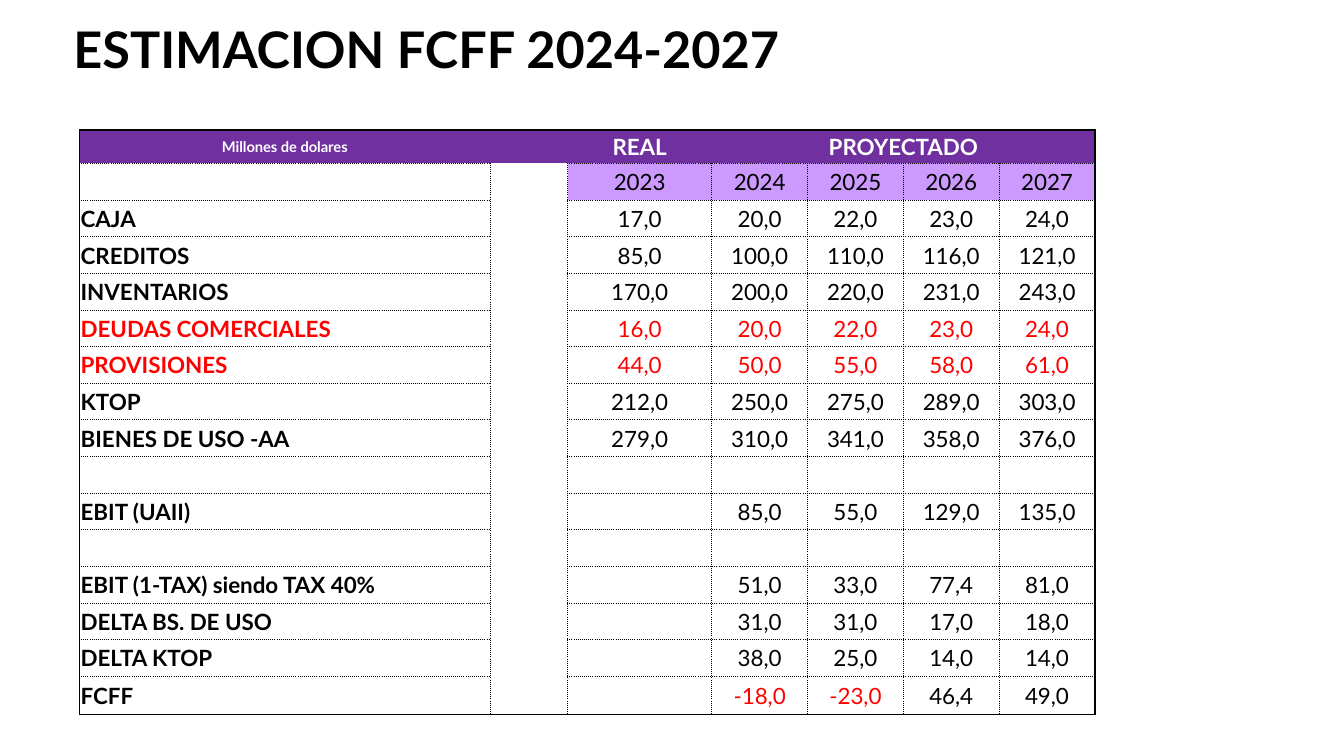
"""Builds the slide with the 2024-2027 free cash flow table."""
from dataclasses import dataclass

from lxml import etree
from pptx import Presentation
from pptx.dml.color import RGBColor
from pptx.enum.text import MSO_ANCHOR, PP_ALIGN
from pptx.oxml.ns import qn
from pptx.util import Emu, Pt

LEFT, CENTER = PP_ALIGN.LEFT, PP_ALIGN.CENTER
MIDDLE = MSO_ANCHOR.MIDDLE
EMU_PER_PX = 9144


@dataclass(frozen=True)
class Theme:
    font: str = "Lato"
    ink: str = "000000"
    red: str = "FF0000"
    white: str = "FFFFFF"
    purple: str = "7030A0"
    lilac: str = "CC99FF"
    title_pt: float = 36
    body_pt: float = 16
    unit_pt: float = 10.5
    frame_pt: float = 1
    grid_pt: float = 0.5


@dataclass(frozen=True)
class Row:
    label: str = ""
    values: tuple[str, ...] = ("",) * 5
    is_red: bool = False


@dataclass(frozen=True)
class Style:
    size: float
    color: str
    bold: bool = False
    align: PP_ALIGN = CENTER


THEME = Theme()
COL_WIDTHS = (407, 77, 143, 95, 95, 95, 95)
TABLE_LEFT, TABLE_TOP, TABLE_HEIGHT = 79, 129, 580
HEADER_HEIGHT, LAST_HEIGHT = 33, 38
SPACER_COL, FIRST_PROJECTED_COL = 1, 3
HEADER = Row("Millones de dolares", ("REAL", "PROYECTADO", "", "", ""))
YEARS = Row("", ("2023", "2024", "2025", "2026", "2027"))
ROWS = (
    HEADER,
    YEARS,
    Row("CAJA", ("17,0", "20,0", "22,0", "23,0", "24,0")),
    Row("CREDITOS", ("85,0", "100,0", "110,0", "116,0", "121,0")),
    Row("INVENTARIOS", ("170,0", "200,0", "220,0", "231,0", "243,0")),
    Row("DEUDAS COMERCIALES", ("16,0", "20,0", "22,0", "23,0", "24,0"), True),
    Row("PROVISIONES", ("44,0", "50,0", "55,0", "58,0", "61,0"), True),
    Row("KTOP", ("212,0", "250,0", "275,0", "289,0", "303,0")),
    Row("BIENES DE USO -AA", ("279,0", "310,0", "341,0", "358,0", "376,0")),
    Row(),
    Row("EBIT (UAII)", ("", "85,0", "55,0", "129,0", "135,0")),
    Row(),
    Row("EBIT (1-TAX) siendo TAX 40%", ("", "51,0", "33,0", "77,4", "81,0")),
    Row("DELTA BS. DE USO", ("", "31,0", "31,0", "17,0", "18,0")),
    Row("DELTA KTOP", ("", "38,0", "25,0", "14,0", "14,0")),
    Row("FCFF", ("", "-18,0", "-23,0", "46,4", "49,0")),
)


def px(n: int) -> Emu:
    """Turn px into EMU."""
    return Emu(n * EMU_PER_PX)


def write(tf, text: str, style: Style) -> None:
    """Fill a text frame with one formatted paragraph."""
    p = tf.paragraphs[0]
    p.text = text
    p.alignment = style.align
    for r in p.runs:
        r.font.name = THEME.font
        r.font.size = Pt(style.size)
        r.font.bold = style.bold
        r.font.color.rgb = RGBColor.from_string(style.color)


def cell_style(row: Row, col: int, text: str) -> Style:
    """Choose the text style of a table cell."""
    if row is HEADER:
        size = THEME.unit_pt if col == 0 else THEME.body_pt
        return Style(size, THEME.white, True)
    color = THEME.red if row.is_red or text.startswith("-") else THEME.ink
    if col == 0:
        return Style(THEME.body_pt, color, True, LEFT)
    return Style(THEME.body_pt, color)


def cell_fill(row: Row, col: int) -> str:
    """Choose the background of a table cell."""
    if row is HEADER:
        return THEME.purple
    return THEME.lilac if row is YEARS and col > SPACER_COL else THEME.white


def add_border(tc_pr, index: int, side: str, is_frame: bool, is_open: bool) -> None:
    """Add a solid frame edge, a dotted grid edge or no edge to a cell."""
    width = THEME.frame_pt if is_frame else THEME.grid_pt
    ln = etree.Element(qn(f"a:ln{side}"), w=str(Pt(width)))
    if is_open and not is_frame:
        etree.SubElement(ln, qn("a:noFill"))
    else:
        fill = etree.SubElement(ln, qn("a:solidFill"))
        etree.SubElement(fill, qn("a:srgbClr"), val=THEME.ink)
        etree.SubElement(ln, qn("a:prstDash"), val="solid" if is_frame else "sysDot")
    tc_pr.insert(index, ln)


def draw_cell(cell, row: Row, row_no: int, col: int, text: str) -> None:
    """Format one table cell and its four edges."""
    cell.vertical_anchor = MIDDLE
    cell.margin_left = cell.margin_right = cell.margin_top = px(1)
    cell.margin_bottom = 0
    cell.fill.solid()
    cell.fill.fore_color.rgb = RGBColor.from_string(cell_fill(row, col))
    write(cell.text_frame, text, cell_style(row, col, text))
    right = col + cell.span_width if cell.is_merge_origin else col + 1
    is_header, is_spacer = row is HEADER, col == SPACER_COL
    edges = (
        ("L", col == 0, is_header),
        ("R", right == len(COL_WIDTHS), is_header),
        ("T", row_no == 0, is_spacer),
        ("B", row_no == len(ROWS) - 1, is_spacer),
    )
    tc_pr = cell._tc.get_or_add_tcPr()
    for index, (side, is_frame, is_open) in enumerate(edges):
        add_border(tc_pr, index, side, is_frame, is_open)


def draw_table(s) -> None:
    """Draw the cash flow table."""
    table = s.shapes.add_table(
        len(ROWS), len(COL_WIDTHS), px(TABLE_LEFT), px(TABLE_TOP),
        px(sum(COL_WIDTHS)), px(TABLE_HEIGHT),
    ).table
    table.first_row = table.horz_banding = False
    for column, width in zip(table.columns, COL_WIDTHS):
        column.width = px(width)
    inner = px(TABLE_HEIGHT - HEADER_HEIGHT - LAST_HEIGHT) // (len(ROWS) - 2)
    for table_row in table.rows:
        table_row.height = Emu(inner)
    table.rows[0].height = px(HEADER_HEIGHT)
    table.rows[len(ROWS) - 1].height = px(LAST_HEIGHT)
    table.cell(0, FIRST_PROJECTED_COL).merge(table.cell(0, len(COL_WIDTHS) - 1))
    for row_no, row in enumerate(ROWS):
        for col, text in enumerate((row.label, "", *row.values)):
            draw_cell(table.cell(row_no, col), row, row_no, col, text)


def draw_title(s) -> None:
    """Draw the slide title."""
    tf = s.shapes.add_textbox(px(63), px(24), px(1150), px(56)).text_frame
    tf.word_wrap = True
    tf.vertical_anchor = MIDDLE
    write(tf, "ESTIMACION FCFF 2024-2027", Style(THEME.title_pt, THEME.ink, True, LEFT))
    tf.paragraphs[0].line_spacing = 0.9


def main() -> None:
    """Build and save the presentation."""
    prs = Presentation()
    prs.slide_width, prs.slide_height = px(1333), px(750)
    s = prs.slides.add_slide(prs.slide_layouts[6])
    draw_title(s)
    draw_table(s)
    prs.save("out.pptx")


if __name__ == "__main__":
    main()
